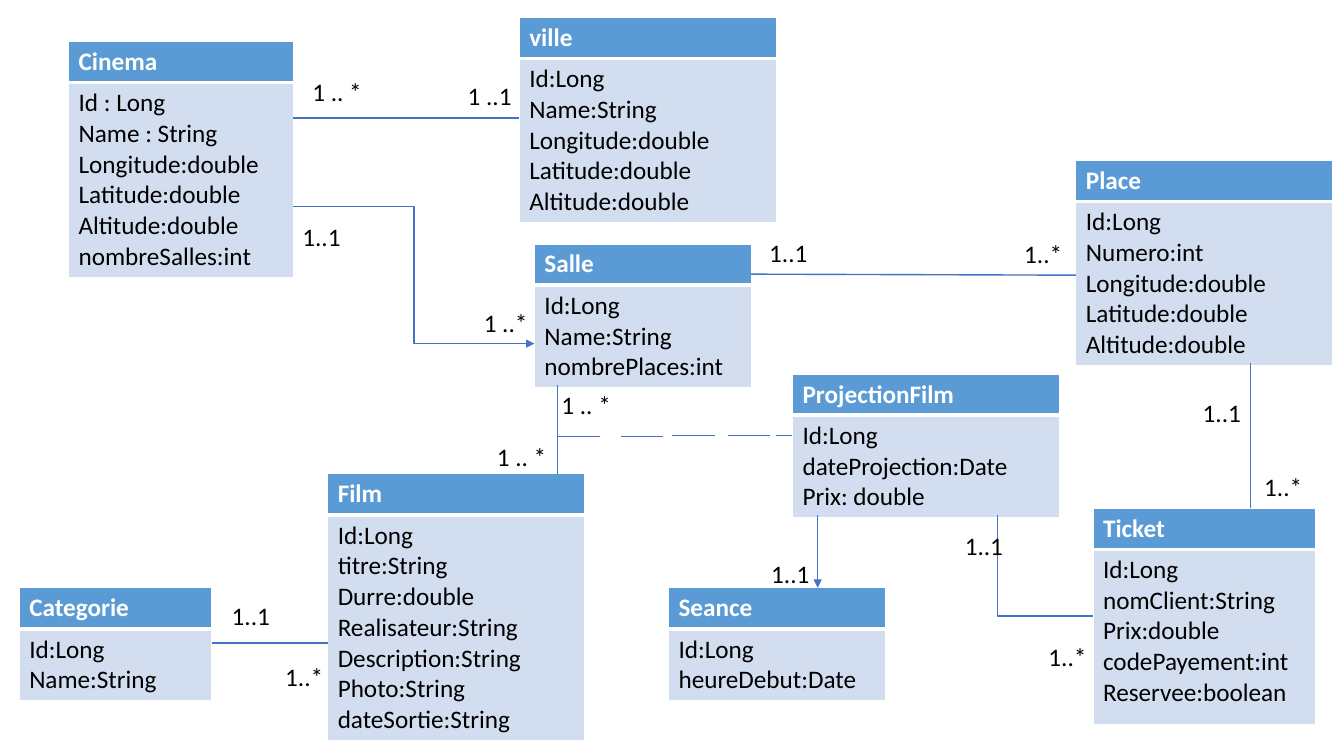
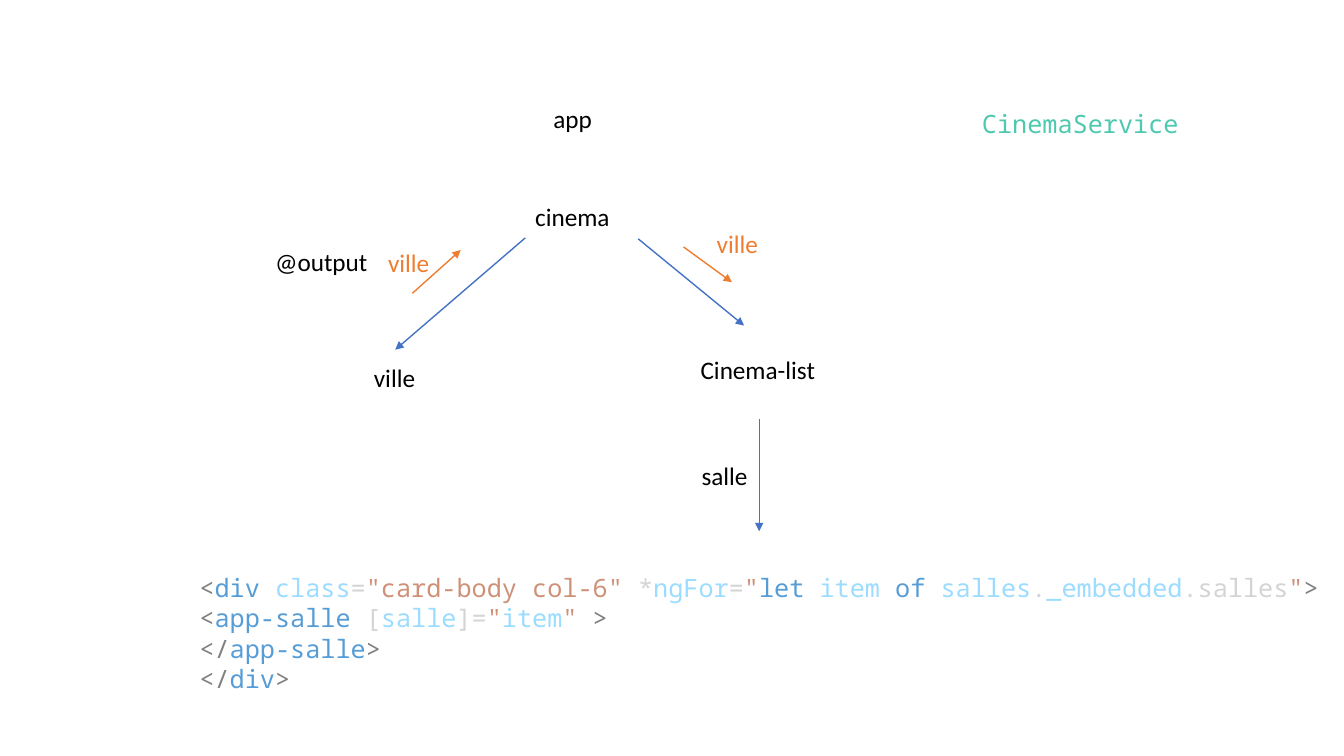
from lxml.etree import SubElement as Sub
from pptx import Presentation
from pptx.dml.color import RGBColor as Rgb
from pptx.enum.shapes import MSO_CONNECTOR as Kind
from pptx.enum.text import MSO_AUTO_SIZE as Fit
from pptx.oxml.ns import qn
from pptx.util import Inches, Pt

HUES = {
    "black": "000000", "white": "FFFFFF", "head": "5B9BD5", "body": "D2DEEF",
    "line": "4472C4", "orange": "ED7D31", "teal": "4EC9B0",
    "grey": "808080", "blue": "569CD6", "sky": "9CDCFE",
    "pale": "D4D4D4", "clay": "CE9178",
}
SANS, MONO = "Calibri", "Noto Sans Mono"
HEAD, ROW, PAD = 0.41, 0.3, 0.1

CARDS = [
    (0.68, 0.41, 2.23, "Cinema", ["Id : Long", "Name : String", "Longitude:double",
                                  "Latitude:double", "Altitude:double", "nombreSalles:int"]),
    (5.15, 0.17, 2.55, "ville", ["Id:Long", "Name:String", "Longitude:double",
                                 "Latitude:double", "Altitude:double"]),
    (5.3, 2.42, 2.15, "Salle", ["Id:Long", "Name:String", "nombrePlaces:int"]),
    (10.67, 1.59, 2.55, "Place", ["Id:Long", "Numero:int", "Longitude:double",
                                  "Latitude:double", "Altitude:double"]),
    (7.86, 3.71, 2.65, "ProjectionFilm", ["Id:Long", "dateProjection:Date", "Prix: double"]),
    (6.63, 5.83, 2.15, "Seance", ["Id:Long", "heureDebut:Date"]),
    (10.84, 5.04, 2.21, "Ticket", ["Id:Long", "nomClient:String", "Prix:double",
                                   "codePayement:int", "Reservee:boolean"], 1.74),
    (0.19, 5.83, 1.91, "Categorie", ["Id:Long", "Name:String"]),
    (3.25, 4.7, 2.55, "Film", ["Id:Long", "titre:String", "Durre:double",
                               "Realisateur:String", "Description:String",
                               "Photo:String", "dateSortie:String"]),
]
LINKS = [
    (2.91, 1.17, 5.15, 1.17), (7.45, 2.72, 10.67, 2.73), (12.4, 3.6, 12.4, 5.04),
    (5.53, 3.82, 5.53, 4.7), (2.1, 6.38, 3.25, 6.38),
]
DASHES = [(5.53, 4.33, 0.42), (6.16, 4.33, 0.42), (6.67, 4.32, 0.42),
          (7.22, 4.32, 0.42), (7.7, 4.32, 0.16)]
COUNTS = {
    "1..1": [(2.9, 2.15), (7.53, 2.31), (2.2, 5.91), (7.55, 5.49), (11.83, 3.89), (9.47, 5.21)],
    "1..*": [(10.06, 2.32), (2.73, 6.51), (12.44, 4.63), (10.3, 6.31)],
    "1 ..1": [(4.54, 0.75)],
    "1 ..*": [(4.7, 3)],
    "1 .. *": [(3, 0.71), (5.47, 3.81), (4.83, 4.33)],
}
NODES = [
    (5.39, 0.98, 0.59, "app", "black"), (5.21, 1.95, 0.95, "cinema", "black"),
    (3.61, 3.55, 0.62, "ville", "black"), (6.85, 3.47, 1.35, "Cinema-list", "black"),
    (2.63, 2.39, 1.13, "@output", "black"), (6.86, 4.52, 0.66, "salle", "black"),
    (3.75, 2.4, 0.62, "ville", "orange"), (7.01, 2.22, 0.62, "ville", "orange"),
]
ARROWS = [
    (5.21, 2.36, 3.92, 3.47, "line"), (6.33, 2.37, 7.38, 3.23, "line"),
    (7.53, 4.16, 7.53, 5.27, "line"), (4.09, 2.91, 4.57, 2.48, "orange"),
    (6.78, 2.45, 7.26, 2.8, "orange"),
]
CODE = [
    [("<", "grey"), ("div ", "blue"), ("class", "sky"), ("=", "pale"),
     ('"card-body col-6"', "clay"), (" *", "pale"), ("ngFor", "sky"), ("=", "pale"),
     ('"', "clay"), ("let ", "blue"), ("item ", "sky"), ("of ", "blue"),
     ("salles", "sky"), (".", "pale"), ("_embedded", "sky"), (".salles", "pale"),
     ('"', "clay"), (">", "grey")],
    [("<", "grey"), ("app-salle", "blue"), (" [", "pale"), ("salle", "sky"),
     ("]=", "pale"), ('"', "clay"), ("item", "sky"), ('" ', "clay"), (">", "grey")],
    [("</", "grey"), ("app-salle", "blue"), (">", "grey")],
    [("</", "grey"), ("div", "blue"), (">", "grey")],
]


def tint(hue):
    return Rgb.from_string(HUES[hue])


def write(para, text, hue="black", font=SANS, size=18, bold=False):
    run = para.add_run()
    run.text = text
    run.font.name, run.font.size, run.font.bold = font, Pt(size), bold
    run.font.color.rgb = tint(hue)


def fill(frame, lines, **form):
    for i, line in enumerate(lines):
        para = frame.add_paragraph() if i else frame.paragraphs[0]
        for text, hue in line:
            write(para, text, hue=hue, **form)


class Deck:
    def __init__(self):
        self.show = Presentation()
        self.show.slide_width, self.show.slide_height = Inches(13.33), Inches(7.5)
        self.slide = None

    def page(self):
        self.slide = self.show.slides.add_slide(self.show.slide_layouts[6])

    def text(self, x, y, w, lines, **form):
        high = ROW * len(lines) + PAD
        box = self.slide.shapes.add_textbox(Inches(x), Inches(y), Inches(w), Inches(high))
        box.text_frame.word_wrap = False
        box.text_frame.auto_size = Fit.SHAPE_TO_FIT_TEXT
        fill(box.text_frame, lines, **form)

    def cell(self, cell, lines, back, base, **form):
        props = cell._tc.get_or_add_tcPr()
        for side, width in (("L", 1), ("R", 1), ("T", 1), ("B", base)):
            edge = Sub(props, qn("a:ln" + side), w=str(Pt(width)))
            Sub(Sub(edge, qn("a:solidFill")), qn("a:srgbClr"), val=HUES["white"])
        cell.fill.solid()
        cell.fill.fore_color.rgb = tint(back)
        fill(cell.text_frame, lines, **form)

    def card(self, x, y, w, name, items, tall=None):
        tall = tall or ROW * len(items) + PAD
        grid = self.slide.shapes.add_table(
            2, 1, Inches(x), Inches(y), Inches(w), Inches(HEAD + tall)).table
        grid.rows[0].height, grid.rows[1].height = Inches(HEAD), Inches(tall)
        self.cell(grid.cell(0, 0), [[(name, "white")]], "head", 3, bold=True)
        self.cell(grid.cell(1, 0), [[(item, "black")] for item in items], "body", 1)

    def link(self, x, y, right, low, hue="line", arrow=False, kind=Kind.STRAIGHT):
        wire = self.slide.shapes.add_connector(
            kind, Inches(x), Inches(y), Inches(right), Inches(low))
        wire.line.color.rgb = tint(hue)
        wire.line.width = Pt(1)
        props = wire._element.spPr
        if arrow:
            Sub(props.find(qn("a:ln")), qn("a:tailEnd"), type="triangle")
        Sub(props, qn("a:effectLst"))
        return props

    def corner(self, x, y, right, low):
        mid, half = (x + right) / 2, (low - y) / 2
        rise, reach = (y + low) / 2, (right - x) / 2
        props = self.link(mid + half, rise - reach, mid - half, rise + reach, kind=Kind.ELBOW)
        props.find(qn("a:xfrm")).set("rot", str(270 * 60000))
        props.find(qn("a:prstGeom")).set("prst", "bentConnector2")


def model(deck):
    deck.page()
    for card in CARDS:
        deck.card(*card)
    for link in LINKS:
        deck.link(*link)
    for x, y, w in DASHES:
        deck.link(x, y, x + w, y)
    deck.link(2.91, 2.05, 5.3, 3.41, arrow=True, kind=Kind.ELBOW)
    deck.link(8.11, 5.11, 8.11, 5.83, arrow=True)
    deck.corner(9.89, 5.11, 10.84, 6.11)
    for count, spots in COUNTS.items():
        for x, y in spots:
            deck.text(x, y, 0.34 + 0.06 * len(count), [[(count, "black")]])


def tree(deck):
    deck.page()
    for x, y, w, name, hue in NODES:
        deck.text(x, y, w, [[(name, hue)]])
    for *ends, hue in ARROWS:
        deck.link(*ends, hue=hue, arrow=True)
    deck.text(1.88, 5.63, 11.49, CODE, font=MONO)
    deck.text(9.64, 1.03, 2.18, [[("CinemaService", "teal")]], font=MONO)


def main():
    deck = Deck()
    model(deck)
    tree(deck)
    deck.show.save("out.pptx")


if __name__ == "__main__":
    main()
